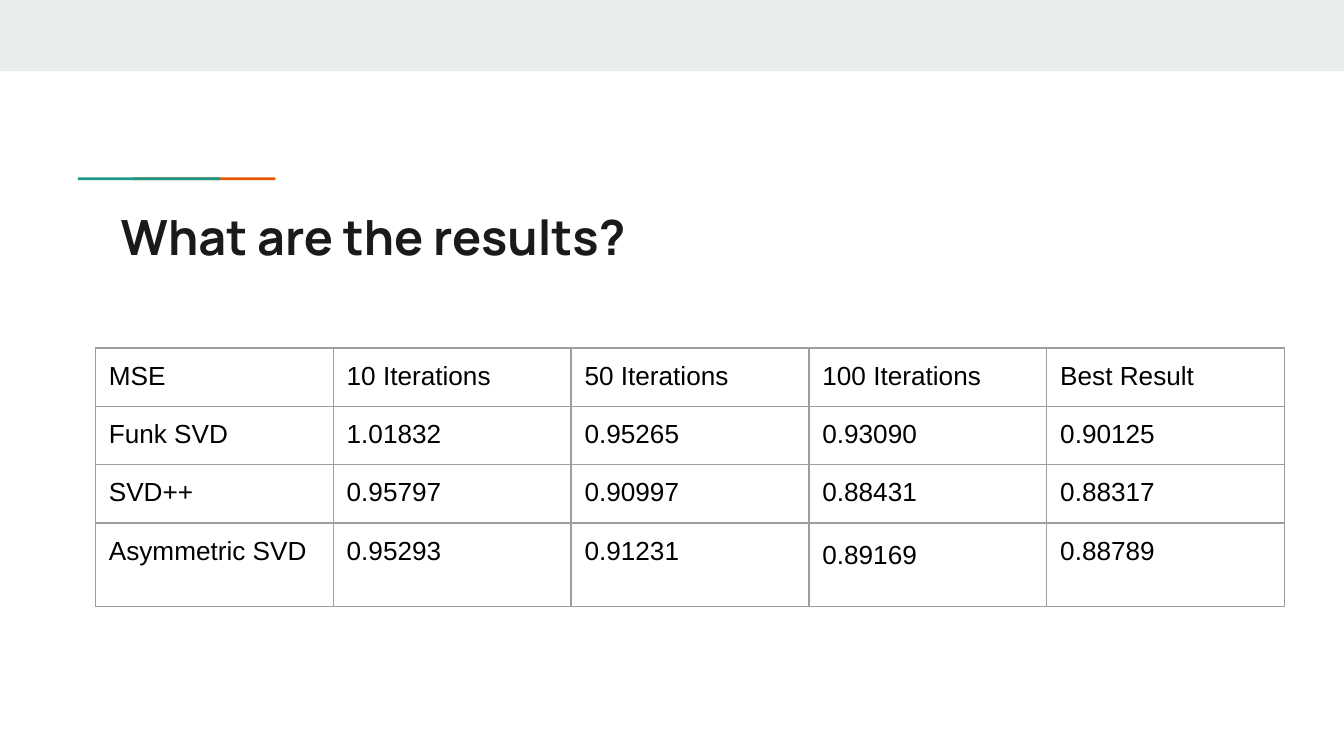
from typing import NamedTuple

from lxml.etree import SubElement
from pptx import Presentation
from pptx.dml.color import RGBColor
from pptx.enum.shapes import MSO_SHAPE
from pptx.enum.text import MSO_ANCHOR
from pptx.oxml.ns import qn
from pptx.util import Inches, Pt

SLIDE_WIDTH = 10
PADDING = Inches(0.1)
COLUMN_WIDTH = 1.77
ROW_HEIGHTS = [0.43, 0.43, 0.43, 0.62]
RESULTS = [
    ["MSE", "10 Iterations", "50 Iterations", "100 Iterations", "Best Result"],
    ["Funk SVD", "1.01832", "0.95265", "0.93090", "0.90125"],
    ["SVD++", "0.95797", "0.90997", "0.88431", "0.88317"],
    ["Asymmetric SVD", "0.95293", "0.91231", "0.89169", "0.88789"],
]
LOOSE_CELL = (3, 3)  # the one cell with wider line spacing


class Bar(NamedTuple):
    left: float
    top: float
    width: float
    height: float
    color: str


BARS = [
    Bar(0, 0, SLIDE_WIDTH, 0.53, "E9EDEE"),
    Bar(0.99, 1.32, 1.06, 0.02, "EB5600"),
    Bar(0.58, 1.32, 1.06, 0.02, "1A9988"),
]


def rgb(color: str) -> RGBColor:
    return RGBColor.from_string(color)


def write(frame, text: str, *, size: float, font: str = "Arial",
          color: str = "000000", bold: bool = False,
          spacing: float = 1.0) -> None:
    paragraph = frame.paragraphs[0]
    paragraph.line_spacing = spacing
    run = paragraph.add_run()
    run.text = text
    run.font.size = Pt(size)
    run.font.name = font
    run.font.bold = bold
    run.font.color.rgb = rgb(color)


def pad(box) -> None:
    """Give a text frame or table cell equal margins on all sides."""
    box.margin_left = box.margin_right = PADDING
    box.margin_top = box.margin_bottom = PADDING


def draw_bar(slide, bar: Bar) -> None:
    shape = slide.shapes.add_shape(
        MSO_SHAPE.RECTANGLE, Inches(bar.left), Inches(bar.top),
        Inches(bar.width), Inches(bar.height))
    shape.shadow.inherit = False
    shape.fill.solid()
    shape.fill.fore_color.rgb = rgb(bar.color)
    shape.line.fill.background()


def draw_title(slide, text: str) -> None:
    box = slide.shapes.add_textbox(
        Inches(0.8), Inches(1.44), Inches(8.41), Inches(0.59))
    frame = box.text_frame
    frame.word_wrap = True
    frame.vertical_anchor = MSO_ANCHOR.TOP
    pad(frame)
    write(frame, text, size=26, font="Manrope", color="1A1A1A", bold=True)


def outline(cell, color: str, width: float) -> None:
    properties = cell._tc.get_or_add_tcPr()
    for position, side in enumerate(("a:lnL", "a:lnR", "a:lnT", "a:lnB")):
        edge = SubElement(properties, qn(side), w=str(Pt(width)))
        fill = SubElement(edge, qn("a:solidFill"))
        SubElement(fill, qn("a:srgbClr"), val=color)
        properties.insert(position, edge)  # borders precede the cell fill


def draw_results(slide) -> None:
    column_count = len(RESULTS[0])
    table = slide.shapes.add_table(
        len(RESULTS), column_count, Inches(0.71), Inches(2.59),
        Inches(COLUMN_WIDTH * column_count), Inches(sum(ROW_HEIGHTS))).table
    table.first_row = table.horz_banding = False
    for column in table.columns:
        column.width = Inches(COLUMN_WIDTH)
    for r, (values, height) in enumerate(zip(RESULTS, ROW_HEIGHTS)):
        table.rows[r].height = Inches(height)
        for c, value in enumerate(values):
            cell = table.cell(r, c)
            pad(cell)
            cell.fill.background()
            outline(cell, "9E9E9E", 0.75)
            write(cell.text_frame, value, size=14,
                  spacing=1.15 if (r, c) == LOOSE_CELL else 1.0)


def main() -> None:
    deck = Presentation()
    deck.slide_width = Inches(SLIDE_WIDTH)
    deck.slide_height = Inches(SLIDE_WIDTH * 9 / 16)
    slide = deck.slides.add_slide(deck.slide_layouts[6])
    for bar in BARS:
        draw_bar(slide, bar)
    draw_title(slide, "What are the results?")
    draw_results(slide)
    deck.save("out.pptx")


if __name__ == "__main__":
    main()
